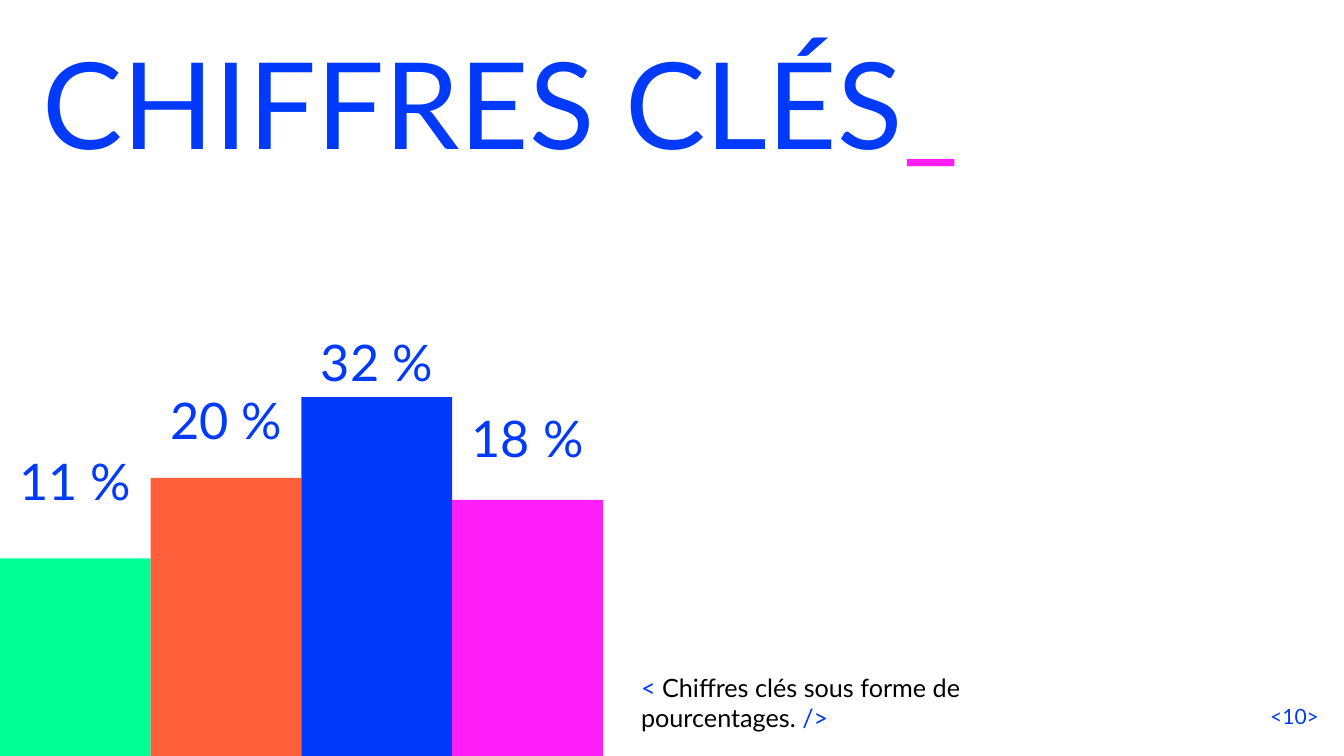
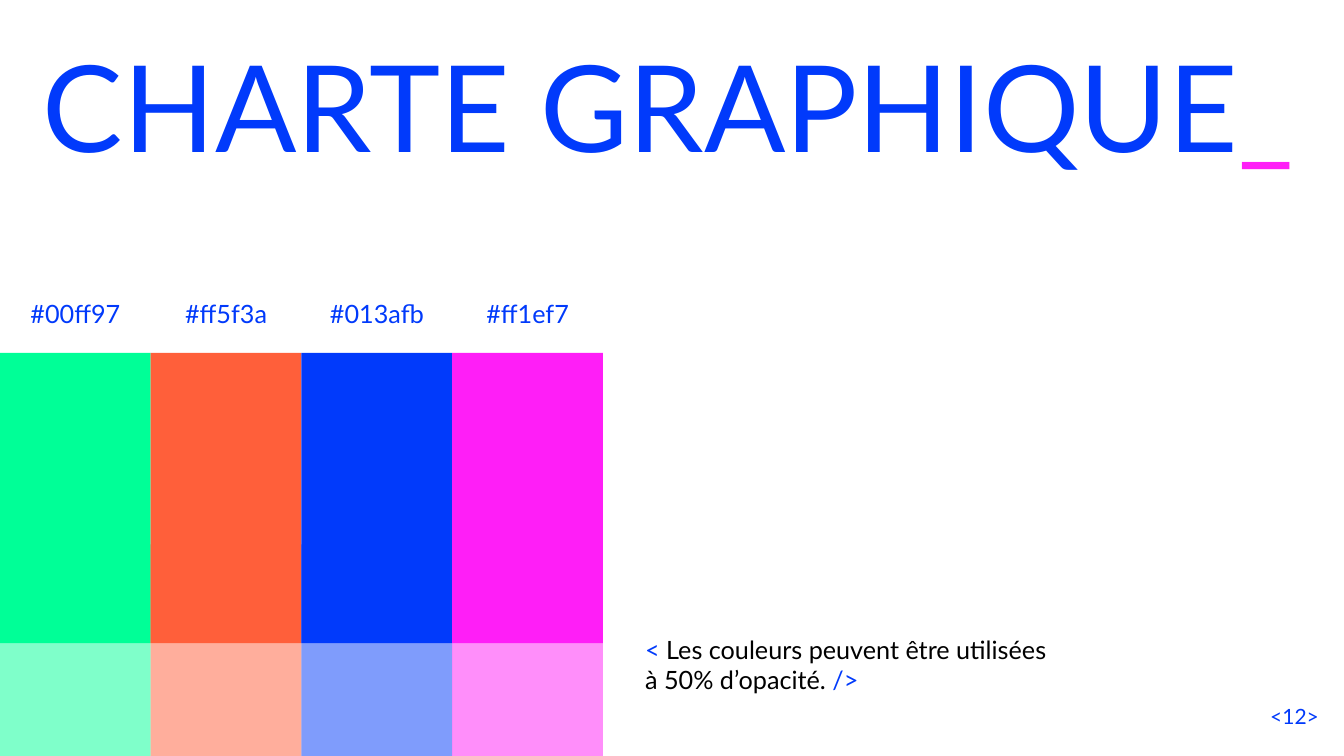
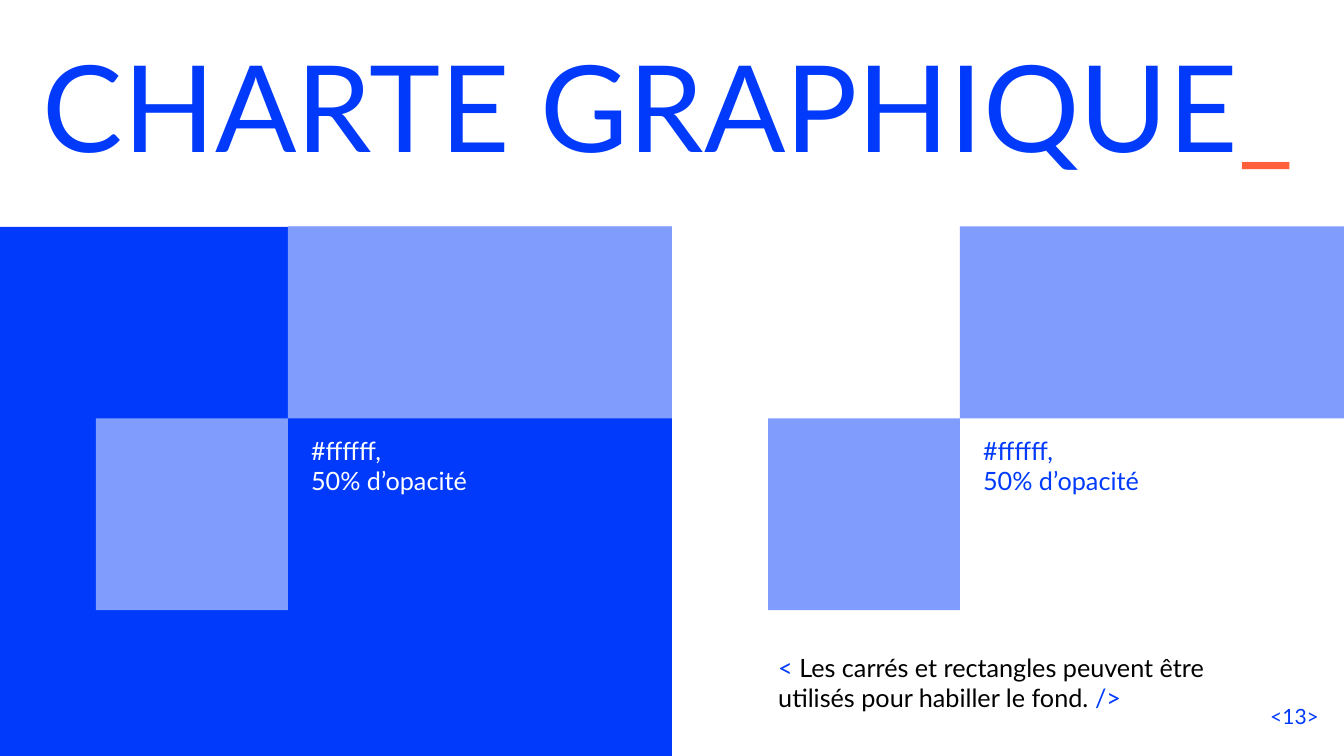
from dataclasses import dataclass
from typing import NamedTuple

from lxml import etree
from pptx import Presentation
from pptx import util as u
from pptx.dml import color as c
from pptx.enum import shapes as s
from pptx.enum import text as t
from pptx.oxml import ns


@dataclass(frozen=True)
class Theme:
    face: str = "Lato"
    green: str = "00FF97"
    coral: str = "FF5F3A"
    blue: str = "013AFB"
    pink: str = "FF1EF7"
    pale: str = "809DFD"
    white: str = "FFFFFF"
    black: str = "000000"
    title: int = 86
    value: int = 36
    body: int = 18
    page: int = 15

    @property
    def hues(self) -> tuple[str, ...]:
        return self.green, self.coral, self.blue, self.pink


class Box(NamedTuple):
    left: float
    top: float
    width: float
    height: float


class Run(NamedTuple):
    text: str
    hue: str


class Bar(NamedTuple):
    value: str
    height: float
    label: float


class Panel(NamedTuple):
    left: float
    ink: str


THEME = Theme()
WIDE, HIGH = 13.33, 7.5
HALF = WIDE / 2
SQUARE = WIDE / 7
COLUMN = 5.98 / 4
LABEL = 0.49
MID, LOW = t.MSO_ANCHOR.MIDDLE, t.MSO_ANCHOR.BOTTOM
LEFT, MIDST, RIGHT = t.PP_ALIGN.LEFT, t.PP_ALIGN.CENTER, t.PP_ALIGN.RIGHT

BARS = (
    Bar("11 %", 1.96, 4.37),
    Bar("20 %", 2.76, 3.76),
    Bar("32 %", 3.56, 3.18),
    Bar("18 %", 2.54, 3.94),
)
PANELS = (Panel(0, THEME.white), Panel(HALF, THEME.blue))


def put(item: object, form: dict) -> None:
    for name, value in form.items():
        setattr(item, name, value)


def lengths(box: Box) -> list[int]:
    return [u.Inches(n) for n in box]


def block(slide, box: Box, hue: str, alpha: int = 100) -> None:
    shape = slide.shapes.add_shape(s.MSO_SHAPE.RECTANGLE, *lengths(box))
    shape.shadow.inherit = False
    shape.line.fill.background()
    shape.fill.solid()
    shape.fill.fore_color.rgb = c.RGBColor.from_string(hue)
    if alpha < 100:
        node = shape.fill._xPr.find(".//" + ns.qn("a:srgbClr"))
        etree.SubElement(node, ns.qn("a:alpha"), val=str(alpha * 1000))


def write(slide, box: Box, lines: list[list[Run]], size: int, pad: float = 0.1,
          anchor=t.MSO_ANCHOR.TOP, align=LEFT, space: float = 1.0) -> None:
    frame = slide.shapes.add_textbox(*lengths(box)).text_frame
    put(frame, {
        "word_wrap": True,
        "vertical_anchor": anchor,
        "margin_left": u.Inches(0.1),
        "margin_right": u.Inches(0.1),
        "margin_top": u.Inches(pad),
        "margin_bottom": u.Inches(pad),
    })
    for i, line in enumerate(lines):
        para = frame.add_paragraph() if i else frame.paragraphs[0]
        put(para, {"alignment": align, "line_spacing": space})
        for part in line:
            run = para.add_run()
            run.text = part.text
            put(run.font, {"name": THEME.face, "size": u.Pt(size)})
            run.font.color.rgb = c.RGBColor.from_string(part.hue)


def label(slide, col: int, top: float, words: str, size: int) -> None:
    box = Box(col * COLUMN, top, COLUMN, LABEL)
    write(slide, box, [[Run(words, THEME.blue)]], size, align=MIDST)


def note(slide, box: Box, words: str) -> None:
    line = [Run("< ", THEME.blue), Run(words + " ", THEME.black), Run("/>", THEME.blue)]
    write(slide, box, [line], THEME.body, anchor=LOW)


def start(deck, page: int, title: str, mark: str, box: Box, **form):
    slide = deck.slides.add_slide(deck.slide_layouts[6])
    write(slide, Box(10.18, 6.9, 3, 0.4), [[Run(f"<{page}>", THEME.blue)]],
          THEME.page, pad=0.05, anchor=MID, align=RIGHT)
    write(slide, box, [[Run(title, THEME.blue), Run("_", mark)]],
          THEME.title, pad=0.05, space=0.9, **form)
    return slide


def figures(deck) -> None:
    slide = start(deck, 10, "CHIFFRES CLÉS", THEME.pink, Box(0.32, 0.4, 12.73, 1.45))
    for i, (bar, hue) in enumerate(zip(BARS, THEME.hues)):
        block(slide, Box(i * COLUMN, HIGH - bar.height, COLUMN, bar.height), hue)
        label(slide, i, bar.label, bar.value, THEME.value)
    note(slide, Box(6.26, 3.98, 4.3, 3.39), "Chiffres clés sous forme de pourcentages.")


def chart(deck, page: int, mark: str):
    return start(deck, page, "CHARTE GRAPHIQUE", mark, Box(0.13, 0.4, 13, 1.45),
                 anchor=MID, align=MIDST)


def palette(deck) -> None:
    slide = chart(deck, 12, THEME.pink)
    for i, hue in enumerate(THEME.hues):
        block(slide, Box(i * COLUMN, 3.5, COLUMN, 2.88), hue)
        block(slide, Box(i * COLUMN, 5.4, COLUMN, 2.1), hue, 50)
        label(slide, i, 2.86, f"#{hue.lower()}", THEME.body)
    note(slide, Box(6.3, 3.6, 4.22, 3.39),
         "Les couleurs peuvent être utilisées à 50% d’opacité.")


def squares(deck) -> None:
    slide = chart(deck, 13, THEME.coral)
    block(slide, Box(0, 2.25, HALF, 5.25), THEME.blue)
    for left, ink in PANELS:
        edge = left + 1.5 * SQUARE
        block(slide, Box(edge - SQUARE, 4.15, SQUARE, SQUARE), THEME.pale)
        block(slide, Box(edge, 4.15 - SQUARE, 2 * SQUARE, SQUARE), THEME.pale)
        write(slide, Box(edge + 0.13, 4.22, 3.55, 0.96),
              [[Run("#ffffff,", ink)], [Run("50% d’opacité", ink)]], THEME.body)
    note(slide, Box(7.62, 6.44, 4.61, 0.73),
         "Les carrés et rectangles peuvent être utilisés pour habiller le fond.")


def main() -> None:
    deck = Presentation()
    put(deck, {"slide_width": u.Inches(WIDE), "slide_height": u.Inches(HIGH)})
    for draw in (figures, palette, squares):
        draw(deck)
    deck.save("out.pptx")


if __name__ == "__main__":
    main()
